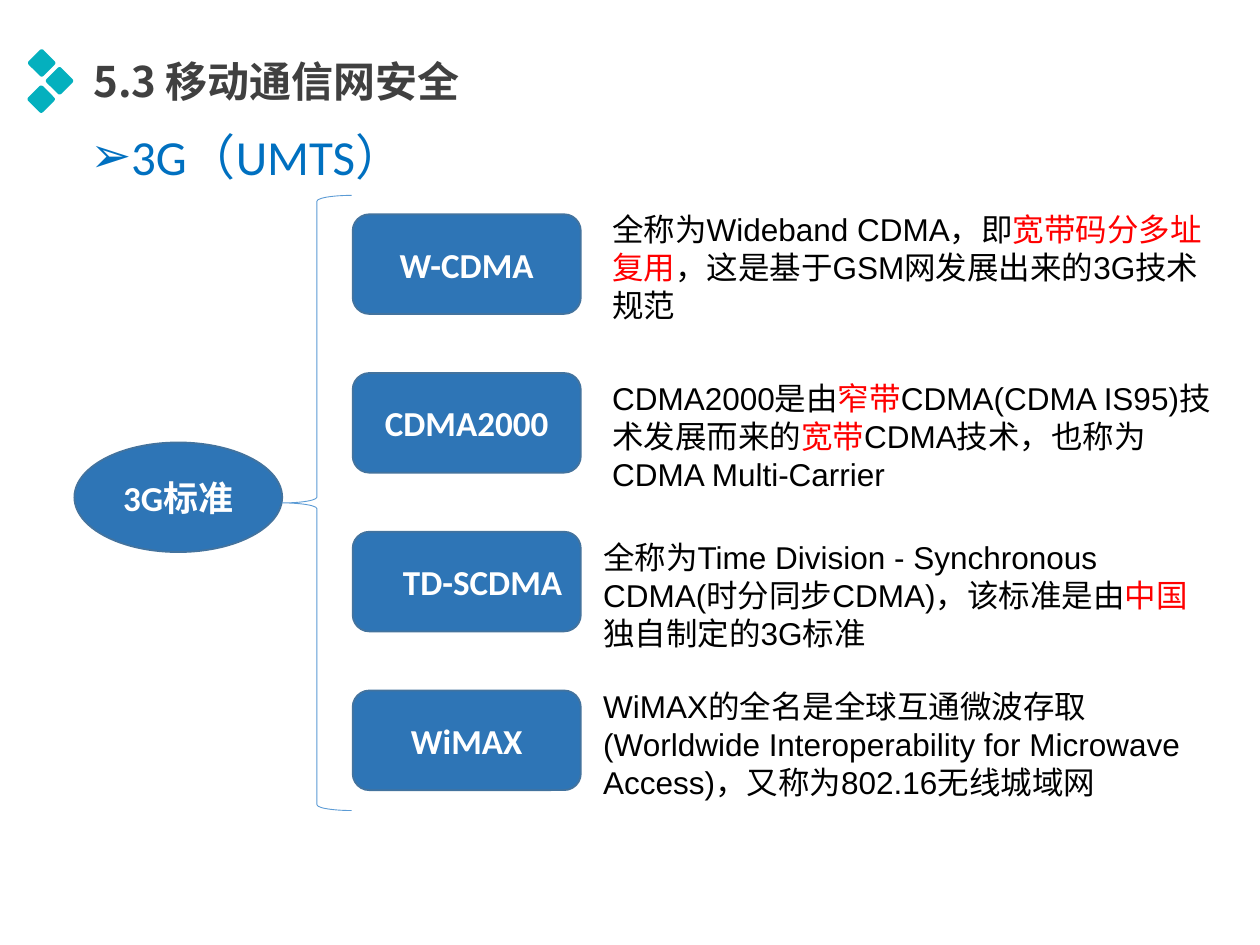
from itertools import cycle

from lxml.etree import SubElement
from pptx import Presentation
from pptx.dml.color import RGBColor
from pptx.enum.shapes import MSO_SHAPE
from pptx.enum.text import MSO_ANCHOR, MSO_AUTO_SIZE, PP_ALIGN
from pptx.oxml.ns import qn
from pptx.util import Cm, Pt

TITLE = "5.3 移动通信网安全"
TOPIC = "3G（UMTS）"
ROOT = "3G标准"
CJK_FONT = "Noto Sans CJK SC"
BLACK, RED, WHITE = "000000", "FF0000", "FFFFFF"
BLUE, OUTLINE, TEAL = "2E75B6", "43739E", "04B0BE"

# Description parts alternate between plain and highlighted text.
STANDARDS = [
    ("W-CDMA", (12.09, 4.11, 12.7),
     ["全称为Wideband CDMA，即", "宽带码分多址复用",
      "，这是基于GSM网发展出来的3G技术规范"]),
    ("CDMA2000", (12.09, 7.52, 12.7),
     ["CDMA2000是由", "窄带", "CDMA(CDMA IS95)技术发展而来的", "宽带",
      "CDMA技术，也称为CDMA Multi-Carrier"]),
    ("TD-SCDMA", (11.91, 10.72, 12.9),
     ["全称为Time Division - Synchronous CDMA(时分同步CDMA)，该标准是由",
      "中国", "独自制定的3G标准"]),
    ("WiMAX", (11.91, 13.72, 12.27),
     ["WiMAX的全名是全球互通微波存取 (Worldwide Interoperability for "
      "Microwave Access)，又称为802.16无线城域网"]),
]
DIAMOND_CENTRES = [(0.84, 1.27), (1.2, 1.63), (0.83, 2.0)]
DIAMOND_SIDE = 0.42
BOX_LEFT, BOX_TOP, BOX_STEP, BOX_WIDTH, BOX_HEIGHT = 7.11, 4.32, 3.2, 4.6, 2.01


def color(value):
    return RGBColor.from_string(value)


def write_text(shape, parts, size, font="Calibri", colors=(WHITE,), bold=False,
               align=PP_ALIGN.LEFT, anchor=MSO_ANCHOR.TOP,
               margins=(0.25, 0.13, 0.25, 0.13), bullet=None):
    frame = shape.text_frame
    frame.word_wrap = True
    frame.auto_size = MSO_AUTO_SIZE.NONE
    frame.vertical_anchor = anchor
    (frame.margin_left, frame.margin_top,
     frame.margin_right, frame.margin_bottom) = map(Cm, margins)
    paragraph = frame.paragraphs[0]
    paragraph.alignment = align
    paragraph.line_spacing = 1.0
    paragraph.space_before = Pt(0)
    if bullet:
        properties = paragraph._p.get_or_add_pPr()
        properties.set("marL", str(Cm(0.79)))
        properties.set("indent", str(-Cm(0.79)))
        SubElement(properties, qn("a:buFont"), typeface="Arial")
        SubElement(properties, qn("a:buChar"), char=bullet)
    for text, run_color in zip(parts, cycle(colors)):
        run = paragraph.add_run()
        run.text = text
        run.font.size = Pt(size)
        run.font.bold = bold
        run.font.name = font
        run.font.color.rgb = color(run_color)
        SubElement(run._r.get_or_add_rPr(), qn("a:ea"), typeface=CJK_FONT)


def place(shape, left, top, width, height):
    shape.left, shape.top, shape.width, shape.height = map(
        Cm, (left, top, width, height))


def add_shape(slide, kind, bounds, fill=None, line=None, line_width=1):
    shape = slide.shapes.add_shape(kind, *map(Cm, bounds))
    shape.shadow.inherit = False
    if fill:
        shape.fill.solid()
        shape.fill.fore_color.rgb = color(fill)
    else:
        shape.fill.background()
    if line:
        shape.line.color.rgb = color(line)
        shape.line.width = Pt(line_width)
    else:
        shape.line.fill.background()
    return shape


def add_label(slide, kind, bounds, text, margins=(0.25, 0.13, 0.25, 0.13)):
    shape = add_shape(slide, kind, bounds, BLUE, OUTLINE)
    write_text(shape, [text], 20, bold=True, align=PP_ALIGN.CENTER,
               anchor=MSO_ANCHOR.MIDDLE, margins=margins)


def main():
    presentation = Presentation()
    presentation.slide_width, presentation.slide_height = Cm(25.4), Cm(19.05)
    slide = presentation.slides.add_slide(presentation.slide_layouts[1])

    for x, y in DIAMOND_CENTRES:
        half = DIAMOND_SIDE / 2
        diamond = add_shape(slide, MSO_SHAPE.ROUNDED_RECTANGLE,
                            (x - half, y - half, DIAMOND_SIDE, DIAMOND_SIDE), TEAL)
        diamond.adjustments[0] = 0.12
        diamond.rotation = 45

    title, topic = slide.placeholders
    place(title, 1.7, 1.02, 18.69, 1.22)
    write_text(title, [TITLE], 24, font=CJK_FONT, colors=["404040"], bold=True,
               margins=(0.18, 0.1, 0.18, 0.1))
    place(topic, 1.57, 2.41, 7.44, 1.45)
    write_text(topic, [TOPIC], 28, colors=["0070C0"], bullet="➢")

    add_label(slide, MSO_SHAPE.OVAL, (1.5, 8.92, 4.19, 2.21), ROOT)
    add_shape(slide, MSO_SHAPE.LEFT_BRACE, (5.69, 3.94, 1.4, 12.4),
              line="5B9BD5", line_width=0.5)

    for index, (name, (left, top, width), parts) in enumerate(STANDARDS):
        margins = (0.64, 0.13, 0, 0.13) if name == "TD-SCDMA" else (0.25, 0.13, 0.25, 0.13)
        add_label(slide, MSO_SHAPE.ROUNDED_RECTANGLE,
                  (BOX_LEFT, BOX_TOP + index * BOX_STEP, BOX_WIDTH, BOX_HEIGHT),
                  name, margins)
        description = slide.shapes.add_textbox(*map(Cm, (left, top, width, 2.57)))
        write_text(description, parts, 18, font="Arial", colors=[BLACK, RED])

    presentation.save("out.pptx")


if __name__ == "__main__":
    main()
